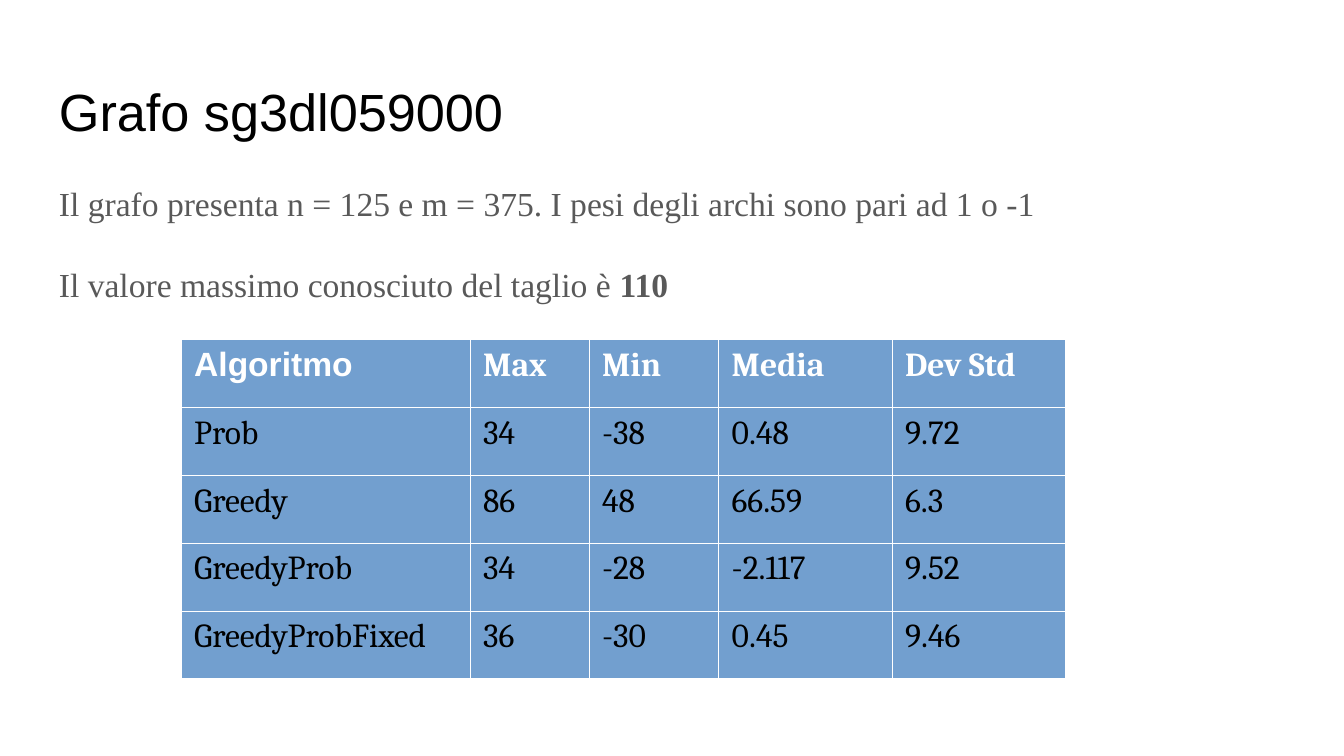
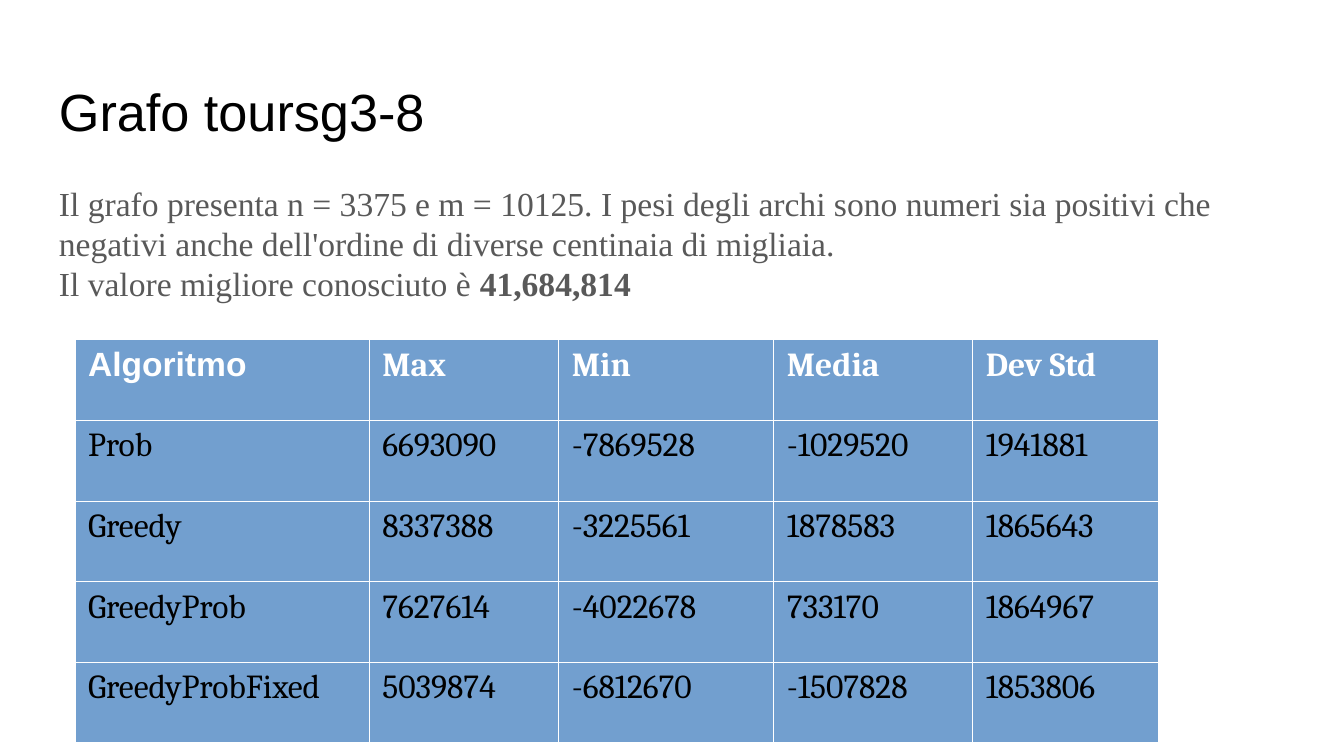
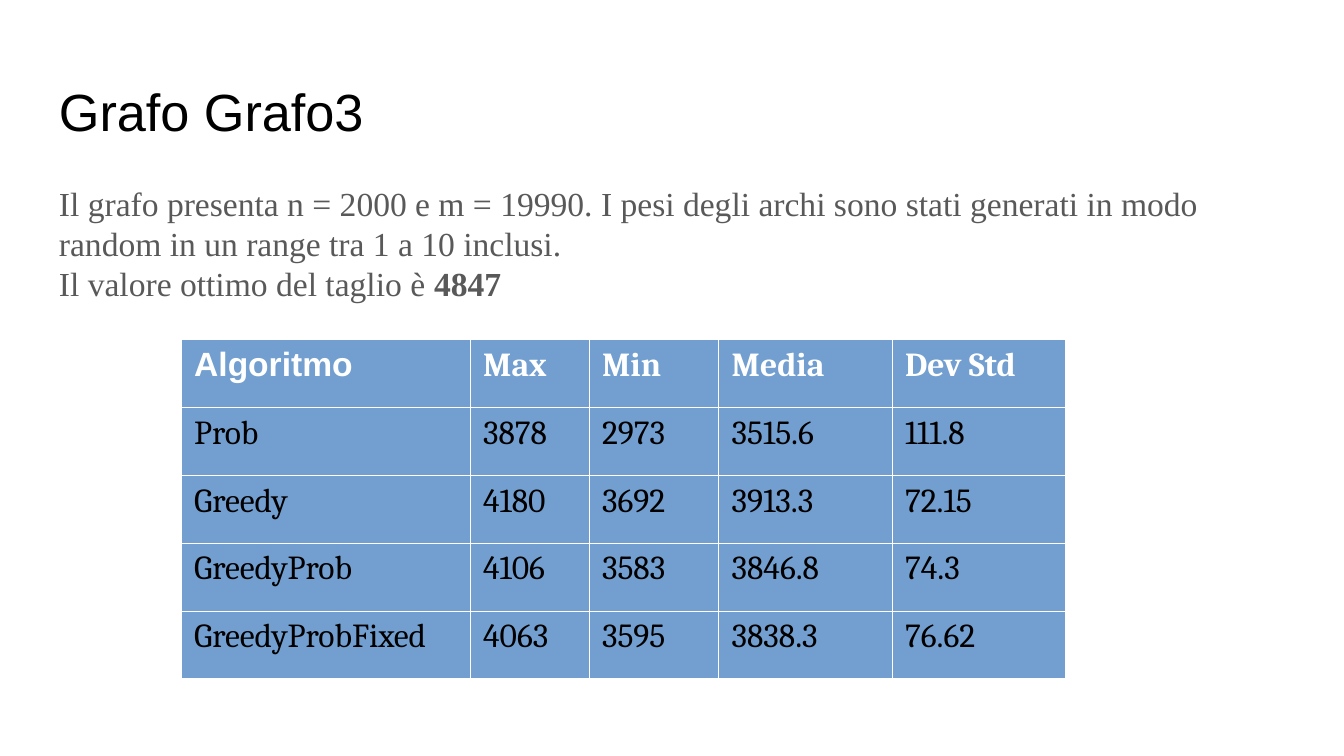
import dataclasses

import lxml.etree
import pptx
import pptx.dml.color
import pptx.oxml.ns
import pptx.util

PX = 4572


@dataclasses.dataclass(frozen=True)
class Theme:
    heading_font: str = "Arial"
    body_font: str = "Times New Roman"
    table_font: str = "Cambria"
    heading_size: int = 28
    body_size: int = 18
    blank_line: float = 21.7
    rule_width: float = 0.06
    ink: str = "000000"
    grey: str = "595959"
    white: str = "FFFFFF"
    blue: str = "729FCF"


THEME = Theme()
SLIDE_SIZE = (2000, 1125)
TITLE_BOX = (68, 98, 1864, 126)
SUMMARY_BOX = (68, 252, 1864, 748)
TEXT_INSET = 20
TABLE_TOP = 505
HEADERS = ("Algoritmo", "Max", "Min", "Media", "Dev Std")
ALGORITHMS = ("Prob", "Greedy", "GreedyProb", "GreedyProbFixed")


@dataclasses.dataclass(frozen=True)
class ResultsGrid:
    left: int
    columns: tuple
    row_height: int


COMPACT_GRID = ResultsGrid(269, (430, 177, 193, 258, 258), 101)
WIDE_GRID = ResultsGrid(111, (438, 282, 320, 296, 276), 120)


@dataclasses.dataclass(frozen=True)
class Graph:
    name: str
    description: str
    best_label: str
    best_value: str
    grid: ResultsGrid
    results: tuple
    gap: float = 0


GRAPHS = (
    Graph(
        "sg3dl059000",
        "Il grafo presenta n = 125 e m = 375. I pesi degli archi sono pari ad 1 o -1",
        "Il valore massimo conosciuto del taglio è ",
        "110",
        COMPACT_GRID,
        (
            ("34", "-38", "0.48", "9.72"),
            ("86", "48", "66.59", "6.3"),
            ("34", "-28", "-2.117", "9.52"),
            ("36", "-30", "0.45", "9.46"),
        ),
        gap=THEME.blank_line,
    ),
    Graph(
        "toursg3-8",
        "Il grafo presenta n = 3375 e m = 10125. I pesi degli archi sono numeri sia positivi "
        "che negativi anche dell'ordine di diverse centinaia di migliaia.",
        "Il valore migliore conosciuto è ",
        "41,684,814",
        WIDE_GRID,
        (
            ("6693090", "-7869528", "-1029520", "1941881"),
            ("8337388", "-3225561", "1878583", "1865643"),
            ("7627614", "-4022678", "733170", "1864967"),
            ("5039874", "-6812670", "-1507828", "1853806"),
        ),
    ),
    Graph(
        "Grafo3",
        "Il grafo presenta n = 2000 e m = 19990. I pesi degli archi sono stati generati "
        "in modo random in un range tra 1 a 10 inclusi.",
        "Il valore ottimo del taglio è ",
        "4847",
        COMPACT_GRID,
        (
            ("3878", "2973", "3515.6", "111.8"),
            ("4180", "3692", "3913.3", "72.15"),
            ("4106", "3583", "3846.8", "74.3"),
            ("4063", "3595", "3838.3", "76.62"),
        ),
    ),
)


def px(length):
    return pptx.util.Emu(length * PX)


def rgb(code):
    return pptx.dml.color.RGBColor.from_string(code)


def write(paragraph, text, *, font, size=THEME.body_size, color=THEME.ink, bold=False,
          before=0):
    run = paragraph.add_run()
    run.text = text
    run.font.name = font
    run.font.size = pptx.util.Pt(size)
    run.font.color.rgb = rgb(color)
    run.font.bold = bold
    if before:
        paragraph.space_before = pptx.util.Pt(before)


def add_text_frame(slide, box):
    frame = slide.shapes.add_textbox(*map(px, box)).text_frame
    frame.word_wrap = True
    frame.margin_left = frame.margin_right = px(TEXT_INSET)
    frame.margin_top = frame.margin_bottom = px(TEXT_INSET)
    return frame


def add_title(slide, box, name):
    heading = add_text_frame(slide, box).paragraphs[0]
    write(heading, f"Grafo {name}", font=THEME.heading_font, size=THEME.heading_size)


def add_summary(slide, box, graph):
    frame = add_text_frame(slide, box)
    style = dict(font=THEME.body_font, color=THEME.grey)
    write(frame.paragraphs[0], graph.description, **style)
    best = frame.add_paragraph()
    write(best, graph.best_label, before=graph.gap, **style)
    write(best, graph.best_value, bold=True, **style)


def rule_cell(cell):
    properties = cell._tc.get_or_add_tcPr()
    qn = pptx.oxml.ns.qn
    for position, side in enumerate(("lnL", "lnR", "lnT", "lnB")):
        rule = lxml.etree.Element(qn(f"a:{side}"), w=str(pptx.util.Pt(THEME.rule_width)))
        fill = lxml.etree.SubElement(rule, qn("a:solidFill"))
        lxml.etree.SubElement(fill, qn("a:srgbClr"), val=THEME.white)
        properties.insert(position, rule)


def add_results(slide, box, grid, results):
    rows = [HEADERS] + [(name, *values) for name, values in zip(ALGORITHMS, results)]
    table = slide.shapes.add_table(len(rows), len(HEADERS), *map(px, box)).table
    table.first_row = table.horz_banding = False
    for column, width in zip(table.columns, grid.columns):
        column.width = px(width)
    for row_index, values in enumerate(rows):
        table.rows[row_index].height = px(grid.row_height)
        header = row_index == 0
        for column_index, value in enumerate(values):
            cell = table.cell(row_index, column_index)
            cell.fill.solid()
            cell.fill.fore_color.rgb = rgb(THEME.blue)
            rule_cell(cell)
            corner = header and column_index == 0
            write(cell.text_frame.paragraphs[0], value,
                  font=THEME.heading_font if corner else THEME.table_font,
                  color=THEME.white if header else THEME.ink, bold=header)


def add_graph_slide(deck, graph):
    slide = deck.slides.add_slide(deck.slide_layouts[6])
    slide.background.fill.solid()
    slide.background.fill.fore_color.rgb = rgb(THEME.white)
    add_title(slide, TITLE_BOX, graph.name)
    add_summary(slide, SUMMARY_BOX, graph)
    grid = graph.grid
    height = grid.row_height * (len(ALGORITHMS) + 1)
    add_results(slide, (grid.left, TABLE_TOP, sum(grid.columns), height), grid, graph.results)


def main():
    deck = pptx.Presentation()
    deck.slide_width, deck.slide_height = map(px, SLIDE_SIZE)
    for graph in GRAPHS:
        add_graph_slide(deck, graph)
    deck.save("out.pptx")


if __name__ == "__main__":
    main()
